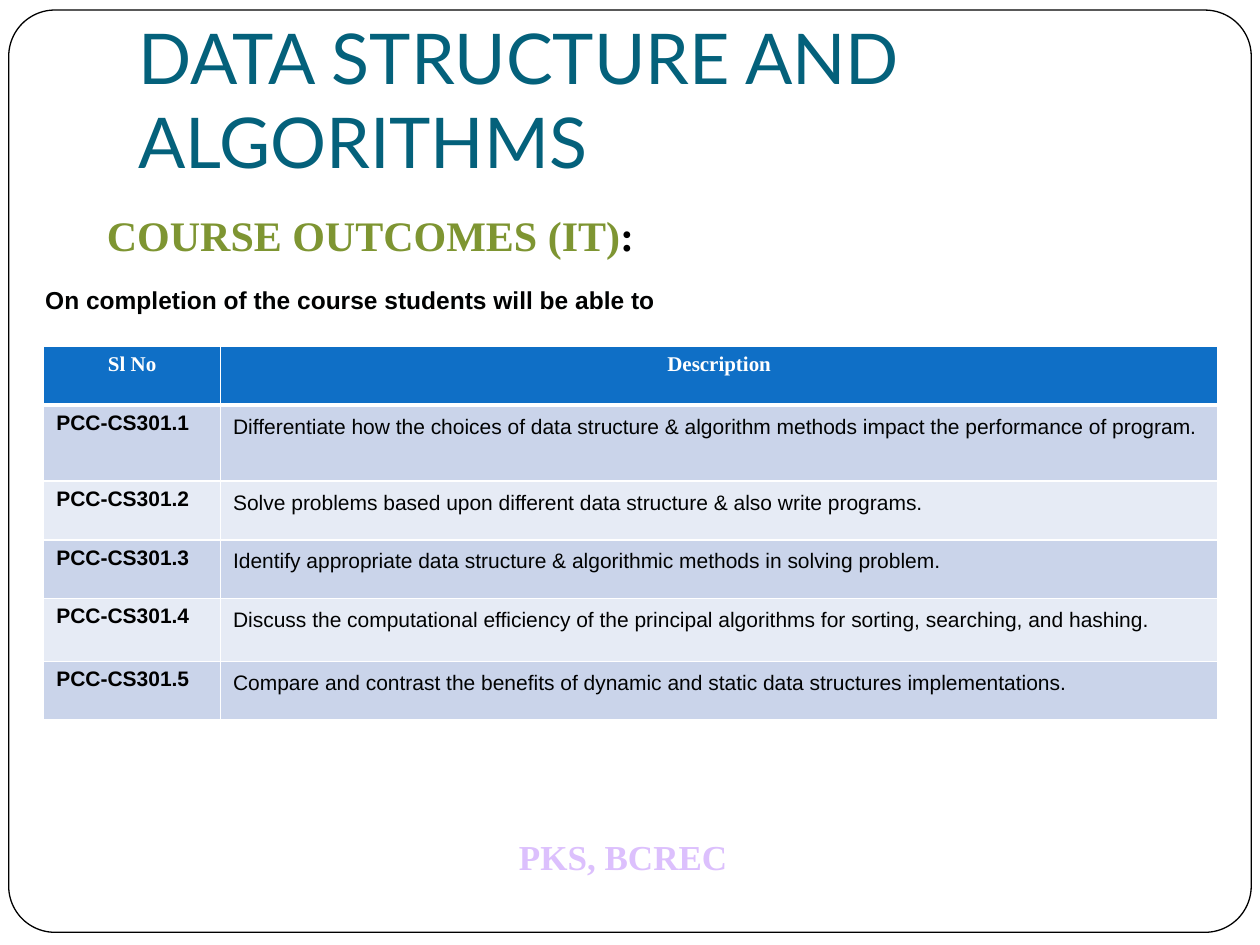
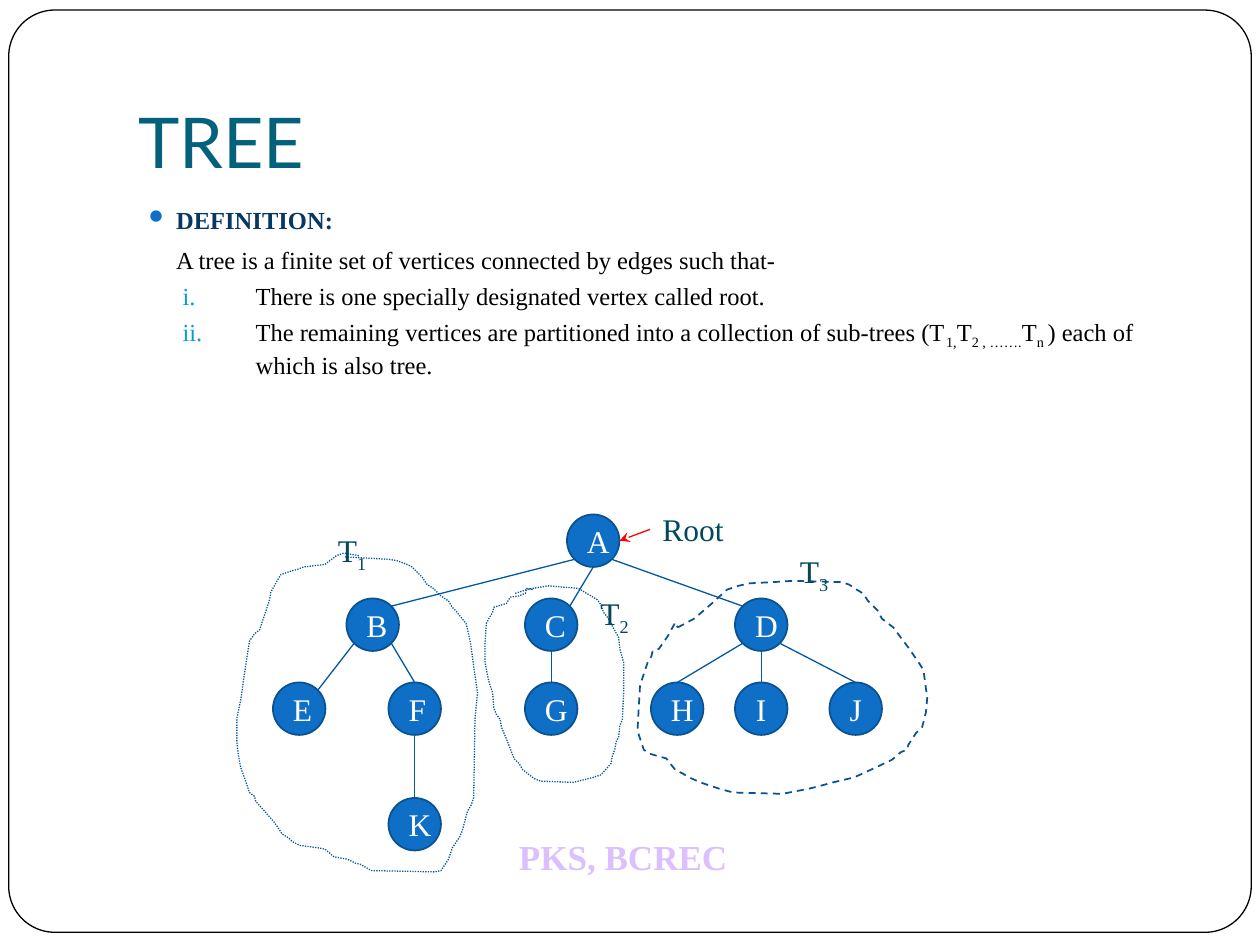
from math import sqrt

from lxml.etree import SubElement
from pptx import Presentation
from pptx.dml.color import RGBColor
from pptx.enum.dml import MSO_LINE as Dash
from pptx.enum.shapes import MSO_CONNECTOR as Link, MSO_SHAPE as Preset
from pptx.enum.text import MSO_ANCHOR as Anchor, PP_ALIGN as Align
from pptx.oxml.ns import qn
from pptx.util import Pt

# Shared colours and fonts
BLACK, WHITE, INK = "000000", "FFFFFF", "010202"
TITLE, FOOTER, HEADING = "04617B", "DCC0FD", "7E9532"
BLUE, BLUE_EDGE, EDGE, LABEL = "0F6FC6", "0A5190", "0357A3", "02485C"
DEFINITION, NUMBER, ARROW = "073763", "009DD9", "FF0000"
BANDS = ("CAD4EA", "E6EBF5")
SERIF, SANS, DISPLAY = "Times New Roman", "Arial", "Lato"

OUTCOMES = [
    "Differentiate how the choices of data structure & algorithm methods impact the performance of program.",
    "Solve problems based upon different data structure & also write programs.",
    "Identify appropriate data structure & algorithmic methods in solving problem.",
    "Discuss the computational efficiency of the principal algorithms for sorting, searching, and hashing.",
    "Compare and contrast the benefits of dynamic and static data structures implementations.",
]

# Tree: top-left corner of each node, then edges with the sides they join
NODE_SIZE = 30
NODES = {
    "A": (324, 294), "B": (198, 342), "C": (300, 342), "D": (420, 342),
    "E": (156, 390), "F": (222, 390), "K": (222, 456), "G": (300, 390),
    "H": (372, 390), "I": (420, 390), "J": (474, 390),
}
DIAGONAL = 1 / sqrt(2)
SIDES = {
    "top": (0, -1), "bottom": (0, 1),
    "top left": (-DIAGONAL, -DIAGONAL), "top right": (DIAGONAL, -DIAGONAL),
    "bottom left": (-DIAGONAL, DIAGONAL), "bottom right": (DIAGONAL, DIAGONAL),
}
EDGES = [
    ("A", "bottom left", "B", "top right"), ("A", "bottom", "C", "top right"),
    ("A", "bottom right", "D", "top left"), ("B", "bottom left", "E", "top right"),
    ("B", "bottom right", "F", "top"), ("F", "bottom", "K", "top"),
    ("C", "bottom", "G", "top"), ("D", "bottom left", "H", "top"),
    ("D", "bottom", "I", "top"), ("D", "bottom right", "J", "top"),
]

# Sub-tree outlines, in steps of 0.72 pt
OUTLINE_STEP = 0.72
SUBTREE_1 = [
    (274, 442), (309, 444), (315, 445), (323, 448), (327, 450), (335, 458), (339, 464),
    (344, 467), (350, 473), (356, 477), (359, 482), (362, 485), (370, 495), (373, 508),
    (374, 514), (376, 529), (377, 536), (379, 550), (377, 571), (376, 633), (374, 639),
    (371, 644), (367, 659), (365, 664), (359, 673), (356, 682), (350, 691), (345, 692),
    (295, 691), (286, 686), (282, 685), (276, 682), (265, 680), (258, 674), (253, 673),
    (238, 671), (232, 668), (229, 665), (224, 662), (218, 653), (211, 645), (203, 636),
    (202, 632), (198, 629), (195, 620), (191, 609), (189, 598), (188, 589), (188, 570),
    (191, 556), (194, 535), (198, 509), (202, 503), (206, 500), (211, 485), (214, 476),
    (215, 470), (220, 461), (223, 456), (232, 453), (236, 452), (241, 450), (258, 448),
    (267, 441), (273, 439), (285, 441),
]
SUBTREE_2 = [
    (409, 471), (418, 468), (423, 467), (435, 465), (459, 467), (464, 470), (474, 476),
    (477, 480), (479, 486), (483, 491), (486, 497), (491, 506), (492, 515), (495, 526),
    (495, 550), (494, 571), (492, 576), (491, 585), (489, 589), (488, 595), (486, 600),
    (485, 606), (477, 615), (471, 617), (455, 621), (429, 620), (424, 618), (415, 611),
    (412, 606), (408, 602), (403, 589), (398, 577), (397, 571), (394, 567), (392, 562),
    (391, 550), (388, 541), (385, 526), (385, 510), (386, 495), (388, 491), (391, 486),
    (392, 482), (402, 479), (405, 474), (412, 473), (417, 471), (418, 467), (423, 468),
]
SUBTREE_3 = [
    (538, 498), (551, 491), (565, 479), (577, 468), (586, 465), (595, 463), (614, 462),
    (629, 461), (668, 462), (674, 464), (680, 468), (685, 471), (689, 477), (697, 485),
    (700, 491), (709, 498), (721, 514), (730, 527), (733, 532), (735, 547), (736, 553),
    (735, 565), (732, 577), (727, 582), (721, 591), (720, 595), (715, 597), (708, 603),
    (691, 611), (678, 617), (661, 621), (650, 624), (642, 626), (621, 630), (582, 629),
    (571, 626), (565, 624), (556, 621), (547, 617), (542, 614), (536, 611), (532, 606),
    (529, 602), (515, 598), (511, 595), (506, 580), (507, 562), (508, 545), (509, 541),
    (511, 535), (514, 526), (517, 521), (518, 517), (523, 515), (530, 505), (536, 494),
]


def rgb(color):
    return RGBColor.from_string(color)


class SlideMaker:
    """Holds the deck, the shared style and the current slide."""

    def __init__(self):
        self.deck = Presentation()
        self.deck.slide_width, self.deck.slide_height = Pt(720), Pt(540)

    def new_slide(self, title):
        self.slide = self.deck.slides.add_slide(self.deck.slide_layouts[6])
        self.shapes = self.slide.shapes
        frame = self.shape(Preset.ROUNDED_RECTANGLE, (5, 5.75, 710, 527), WHITE, BLACK, 0.75)
        frame.adjustments[0] = 0.05
        self.label((289.5, 474, 160.5, 31.5), ["PKS, BCREC"], 20, FOOTER, bold=True)
        box = self.label((72, 21.6, 612, 90), [title], 40, TITLE, DISPLAY)
        box.text_frame.vertical_anchor = Anchor.BOTTOM
        box.text_frame.margin_bottom = Pt(7.2)

    def add_spans(self, para, spans, size, color, font=SERIF, bold=False):
        """Fill a paragraph; every second span is a subscript."""
        for index, text in enumerate(spans):
            span = para.add_run()
            span.text = text
            span.font.size, span.font.name, span.font.bold = Pt(size), font, bold
            span.font.color.rgb = rgb(color)
            if index % 2:
                span._r.get_or_add_rPr().set("baseline", "-25000")

    def text_box(self, place):
        box = self.shapes.add_textbox(*map(Pt, place))
        box.text_frame.word_wrap = True
        return box

    def label(self, place, spans, size, color, font=SERIF, bold=False):
        box = self.text_box(place)
        self.add_spans(box.text_frame.paragraphs[0], spans, size, color, font, bold)
        return box

    def outline(self, shape, color, width, dash=None):
        shape.line.color.rgb = rgb(color)
        shape.line.width = Pt(width)
        if dash:
            shape.line.dash_style = dash

    def shape(self, preset, place, fill, line, width):
        shape = self.shapes.add_shape(preset, *map(Pt, place))
        shape.shadow.inherit = False
        shape.fill.solid()
        shape.fill.fore_color.rgb = rgb(fill)
        self.outline(shape, line, width)
        return shape

    def node(self, name):
        circle = self.shape(Preset.OVAL, (*NODES[name], NODE_SIZE, NODE_SIZE), BLUE, BLUE_EDGE, 1)
        circle.text_frame.vertical_anchor = Anchor.MIDDLE
        para = circle.text_frame.paragraphs[0]
        para.alignment = Align.CENTER
        self.add_spans(para, [name], 18, WHITE)

    def line(self, start, end, color):
        link = self.shapes.add_connector(Link.STRAIGHT, *map(Pt, (*start, *end)))
        self.outline(link, color, 0.75)
        SubElement(link._element.spPr, qn("a:effectLst"))
        return link

    def curve(self, points, color, width, dash, close=False):
        builder = self.shapes.build_freeform(*points[0], scale=Pt(OUTLINE_STEP))
        builder.add_line_segments(points[1:], close=close)
        shape = builder.convert_to_shape()
        shape.shadow.inherit = False
        shape.fill.background()
        self.outline(shape, color, width, dash)

    def bullet(self, para, left, hang=0, kind="buNone", color=None, **marks):
        props = para._p.get_or_add_pPr()
        props.set("marL", str(Pt(left)))
        props.set("indent", str(-Pt(hang)))
        if color:
            SubElement(SubElement(props, qn("a:buClr")), qn("a:srgbClr")).set("val", color)
        SubElement(props, qn("a:" + kind), marks)

    def cell(self, cell, text, fill, color, font, bold, top=1, bottom=1):
        props = cell._tc.get_or_add_tcPr()
        for side, width in (("L", 1), ("R", 1), ("T", top), ("B", bottom)):
            border = SubElement(props, qn("a:ln" + side), w=str(Pt(width)))
            SubElement(SubElement(border, qn("a:solidFill")), qn("a:srgbClr")).set("val", WHITE)
        cell.fill.solid()
        cell.fill.fore_color.rgb = rgb(fill)
        para = cell.text_frame.paragraphs[0]
        self.add_spans(para, [text], 12, color, font, bold)
        return para

    def table(self, place, widths, heights):
        table = self.shapes.add_table(len(heights), len(widths), *map(Pt, place)).table
        for column, width in zip(table.columns, widths):
            column.width = Pt(width)
        for row, height in zip(table.rows, heights):
            row.height = Pt(height)
        return table


def loosen(para):
    para.line_spacing, para.space_after = 1.15, Pt(12)


def outcomes_slide(maker):
    maker.new_slide("DATA STRUCTURE AND ALGORITHMS")

    # Heading and lead-in
    frame = maker.text_box((18.75, 116, 386, 46)).text_frame
    heading = frame.paragraphs[0]
    heading.alignment = Align.CENTER
    maker.add_spans(heading, ["COURSE OUTCOMES (IT)"], 24, HEADING, bold=True)
    maker.add_spans(heading, [":"], 24, BLACK, bold=True)
    lead = frame.add_paragraph()
    loosen(lead)
    lead.space_before = Pt(12)
    maker.add_spans(lead, ["On completion of the course students will be able to"], 14, INK, SANS, True)

    # Table of outcomes
    widths, heights = (101, 570), (33.5, 43.5, 33.5, 33.5, 36, 33.5)
    table = maker.table((25, 198, sum(widths), sum(heights)), widths, heights)
    for column, text in enumerate(("Sl No", "Description")):
        para = maker.cell(table.cell(0, column), text, BLUE, WHITE, SERIF, True, bottom=3)
        para.alignment = Align.CENTER
    for row, text in enumerate(OUTCOMES, 1):
        fill, top = BANDS[(row - 1) % 2], 3 if row == 1 else 1
        maker.cell(table.cell(row, 0), f"PCC-CS301.{row}", fill, BLACK, SANS, True, top)
        loosen(maker.cell(table.cell(row, 1), text, fill, INK, SANS, False, top))


def side_point(name, side):
    radius = NODE_SIZE / 2
    return [corner + radius + radius * step for corner, step in zip(NODES[name], SIDES[side])]


def tree_slide(maker):
    maker.new_slide("TREE")

    # Definition
    frame = maker.text_box((72, 113.75, 612, 186)).text_frame
    para = frame.paragraphs[0]
    maker.bullet(para, 21.6, 17.3, "buChar", BLUE, char="⚫")
    maker.add_spans(para, ["DEFINITION:"], 14, DEFINITION, bold=True)
    para = frame.add_paragraph()
    para.space_before = Pt(5.8)
    maker.bullet(para, 21.6)
    maker.add_spans(para, ["A tree is a finite set of vertices connected by edges such that-"], 14, BLACK)
    conditions = (
        ["There is one specially designated vertex called root."],
        ["The remaining vertices are partitioned into a collection of sub-trees (T",
         "1,", "T", "2 , …….", "T", "n ", ") each of which is also tree."],
    )
    for spans in conditions:
        para = frame.add_paragraph()
        para.level, para.space_before = 1, Pt(3.7)
        maker.bullet(para, 67, 41.75, "buAutoNum", NUMBER, type="romanLcPeriod")
        maker.add_spans(para, spans, 14, BLACK)

    # Tree
    for name in NODES:
        maker.node(name)
    for parent, leaving, child, entering in EDGES:
        maker.line(side_point(parent, leaving), side_point(child, entering), EDGE)

    # Sub-trees
    for points in (SUBTREE_1, SUBTREE_2):
        maker.curve(points, EDGE, 0.75, Dash.ROUND_DOT)
    maker.curve(SUBTREE_3, BLUE_EDGE, 1, Dash.DASH, close=True)
    for number, place in enumerate(((186, 300, 43), (336, 336, 37.5), (450, 312, 37.5)), 1):
        maker.label((*place, 29), ["T", str(number)], 18, LABEL)

    # Pointer to the root
    root = maker.label((371.5, 288, 63.5, 29), ["Root"], 18, LABEL)
    left, top = NODES["A"]
    arrow = maker.line((371.5, 302.5), (left + NODE_SIZE, top + NODE_SIZE / 2), ARROW)
    arrow.begin_connect(root, 1)
    SubElement(arrow.line._get_or_add_ln(), qn("a:tailEnd"), type="stealth")


def main():
    maker = SlideMaker()
    outcomes_slide(maker)
    tree_slide(maker)
    maker.deck.save("out.pptx")


if __name__ == "__main__":
    main()
